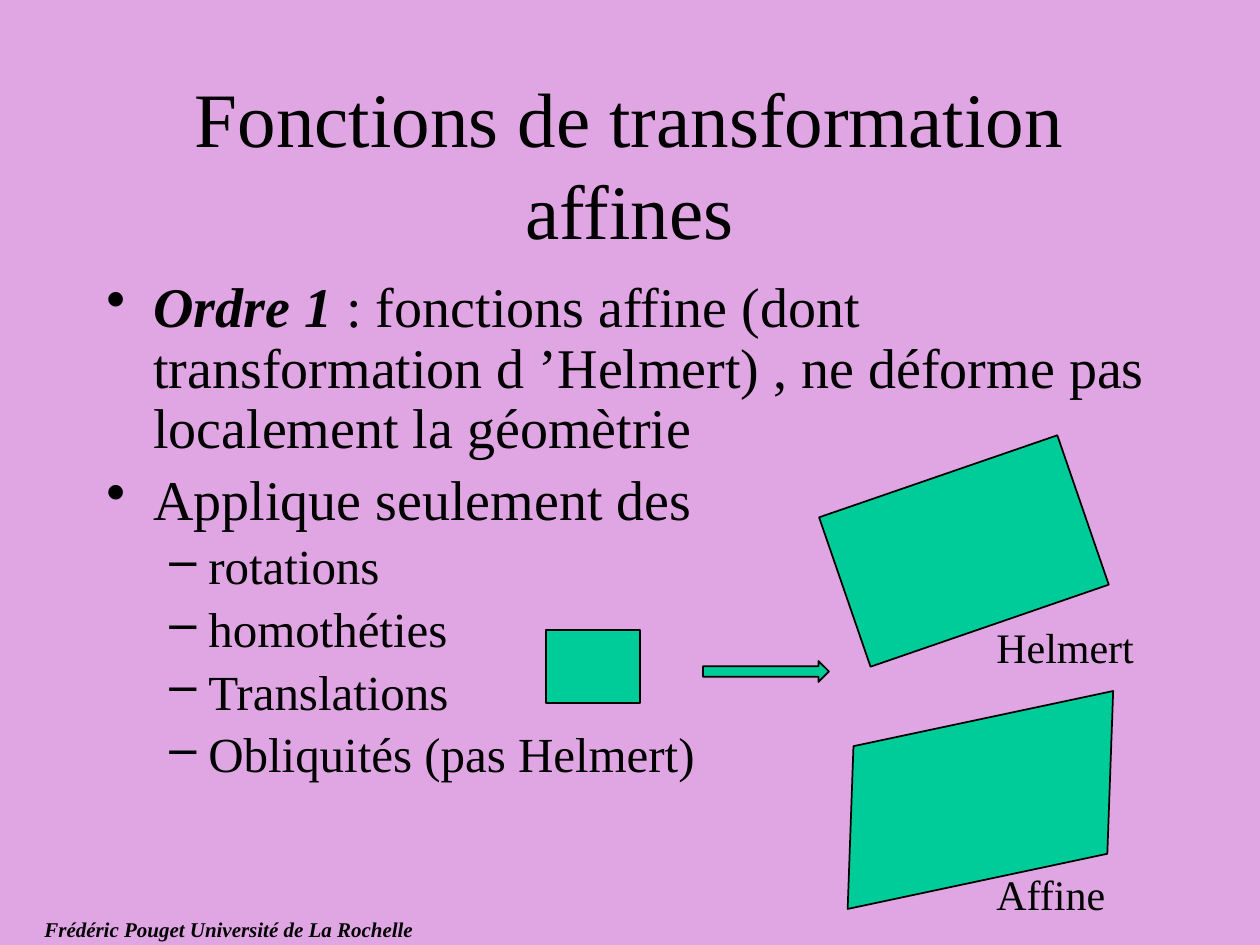
from dataclasses import dataclass

from lxml.etree import SubElement
from pptx import Presentation
from pptx.dml.color import RGBColor
from pptx.enum.shapes import MSO_SHAPE
from pptx.enum.text import MSO_ANCHOR, PP_ALIGN
from pptx.oxml.ns import qn
from pptx.util import Emu, Pt

PX = 914400 / 126


def px(*values):
    return [Emu(round(v * PX)) for v in values]


@dataclass(frozen=True)
class Theme:
    font: str = "Times New Roman"
    background: RGBColor = RGBColor(0xE0, 0xA5, 0xE3)
    ink: RGBColor = RGBColor(0, 0, 0)
    fill: RGBColor = RGBColor(0x00, 0xCC, 0x99)
    title: int = 44
    body: int = 32
    sub: int = 28
    label: int = 24
    footer: int = 12
    line: int = 1


class SlideBuilder:
    """Draw styled elements on the current slide."""

    def __init__(self, prs, theme):
        self.theme = theme
        self.s = prs.slides.add_slide(prs.slide_layouts[6])
        fill = self.s.background.fill
        fill.solid()
        fill.fore_color.rgb = theme.background

    def run(self, p, text, size, **formats):
        r = p.add_run()
        r.text = text
        values = {"name": self.theme.font, "size": Pt(size), **formats}
        for name, value in values.items():
            setattr(r.font, name, value)
        r.font.color.rgb = self.theme.ink

    def frame(self, box, anchor=MSO_ANCHOR.TOP):
        tf = self.s.shapes.add_textbox(*px(*box)).text_frame
        tf.word_wrap = True
        tf.vertical_anchor = anchor
        return tf

    def text(self, box, text, size, anchor=MSO_ANCHOR.TOP, align=PP_ALIGN.LEFT, **formats):
        p = self.frame(box, anchor).paragraphs[0]
        p.alignment = align
        self.run(p, text, size, **formats)

    def bullets(self, box, items):
        levels = (
            {"size": self.theme.body, "char": "•", "margin": 47, "indent": -47},
            {"size": self.theme.sub, "char": "–", "margin": 102, "indent": -39},
        )
        tf = self.frame(box)
        for i, (level, runs) in enumerate(items):
            style = levels[level]
            p = tf.paragraphs[0] if i == 0 else tf.add_paragraph()
            p.level = level
            p.line_spacing = 0.9
            p.space_before = Pt(style["size"] * 0.2 if i else 0)
            pPr = p._p.get_or_add_pPr()
            margin, indent = px(style["margin"], style["indent"])
            pPr.set("marL", str(margin))
            pPr.set("indent", str(indent))
            SubElement(pPr, qn("a:buChar"), char=style["char"])
            for text, formats in runs:
                self.run(p, text, style["size"], **formats)

    def shape(self, kind, box, rotation=0, adjustments=()):
        sp = self.s.shapes.add_shape(kind, *px(*box))
        sp.rotation = rotation
        sp.shadow.inherit = False
        for i, value in enumerate(adjustments):
            sp.adjustments[i] = value
        sp.fill.solid()
        sp.fill.fore_color.rgb = self.theme.fill
        sp.line.color.rgb = self.theme.ink
        sp.line.width = Pt(self.theme.line)


def main():
    prs = Presentation()
    prs.slide_width, prs.slide_height = px(1260, 945)
    theme = Theme()
    s = SlideBuilder(prs, theme)
    emphasis = {"bold": True, "italic": True}

    s.text((32, 914, 608, 31), "Frédéric Pouget Université de La Rochelle",
           theme.footer, MSO_ANCHOR.MIDDLE, **emphasis)
    s.text((94, 84, 1071, 158), "Fonctions de transformation affines",
           theme.title, MSO_ANCHOR.MIDDLE, PP_ALIGN.CENTER)

    operations = ("rotations", "homothéties", "Translations", "Obliquités (pas Helmert)")
    s.bullets((94, 273, 1071, 567), [
        (0, [("Ordre 1", emphasis),
             (" : fonctions affine (dont transformation d ’Helmert) , "
              "ne déforme pas localement la géomètrie", {})]),
        (0, [("Applique seulement des", {})]),
        *((1, [(name, {})]) for name in operations),
    ])

    s.shape(MSO_SHAPE.RECTANGLE, (546, 630, 94, 73))
    s.shape(MSO_SHAPE.RIGHT_ARROW, (703, 661, 126, 21), adjustments=(0.5, 0.5))
    s.shape(MSO_SHAPE.RECTANGLE, (838, 472, 252, 158), 341)
    s.shape(MSO_SHAPE.PARALLELOGRAM, (828, 721, 305, 158), 348, (0.25,))

    s.text((984, 615, 218, 63), "Helmert", theme.label)
    s.text((984, 862, 135, 63), "Affine", theme.label)
    prs.save("out.pptx")


if __name__ == "__main__":
    main()
